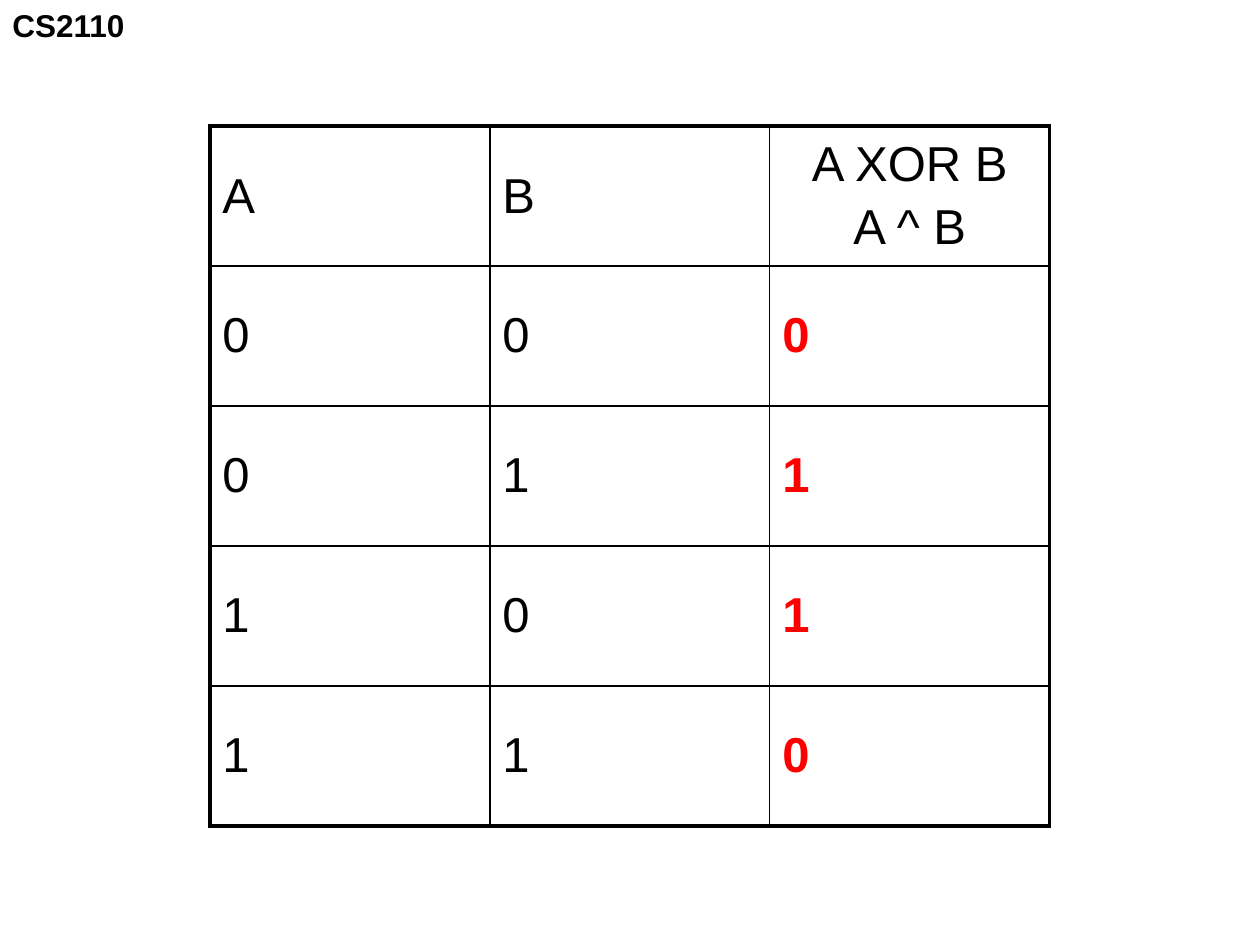
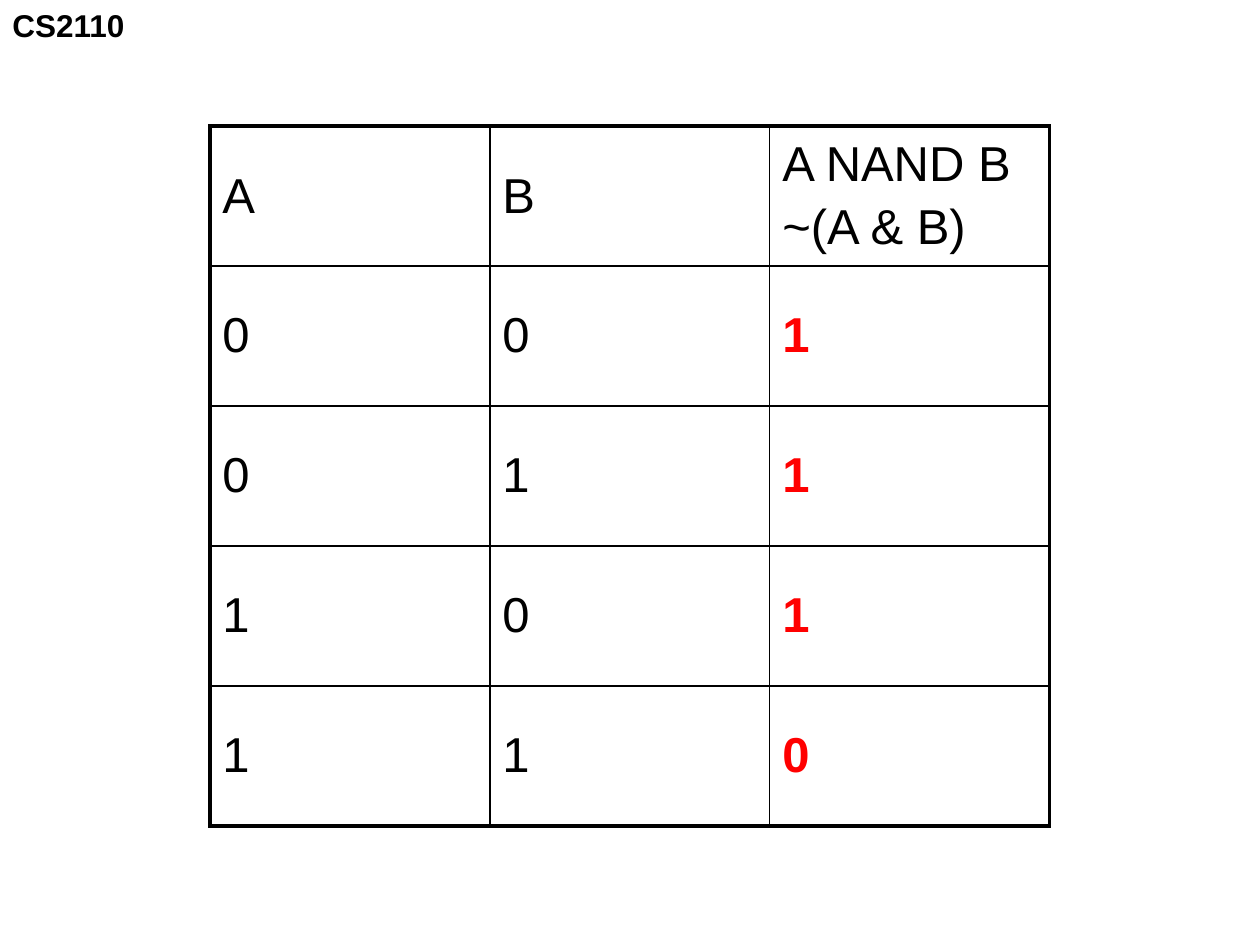
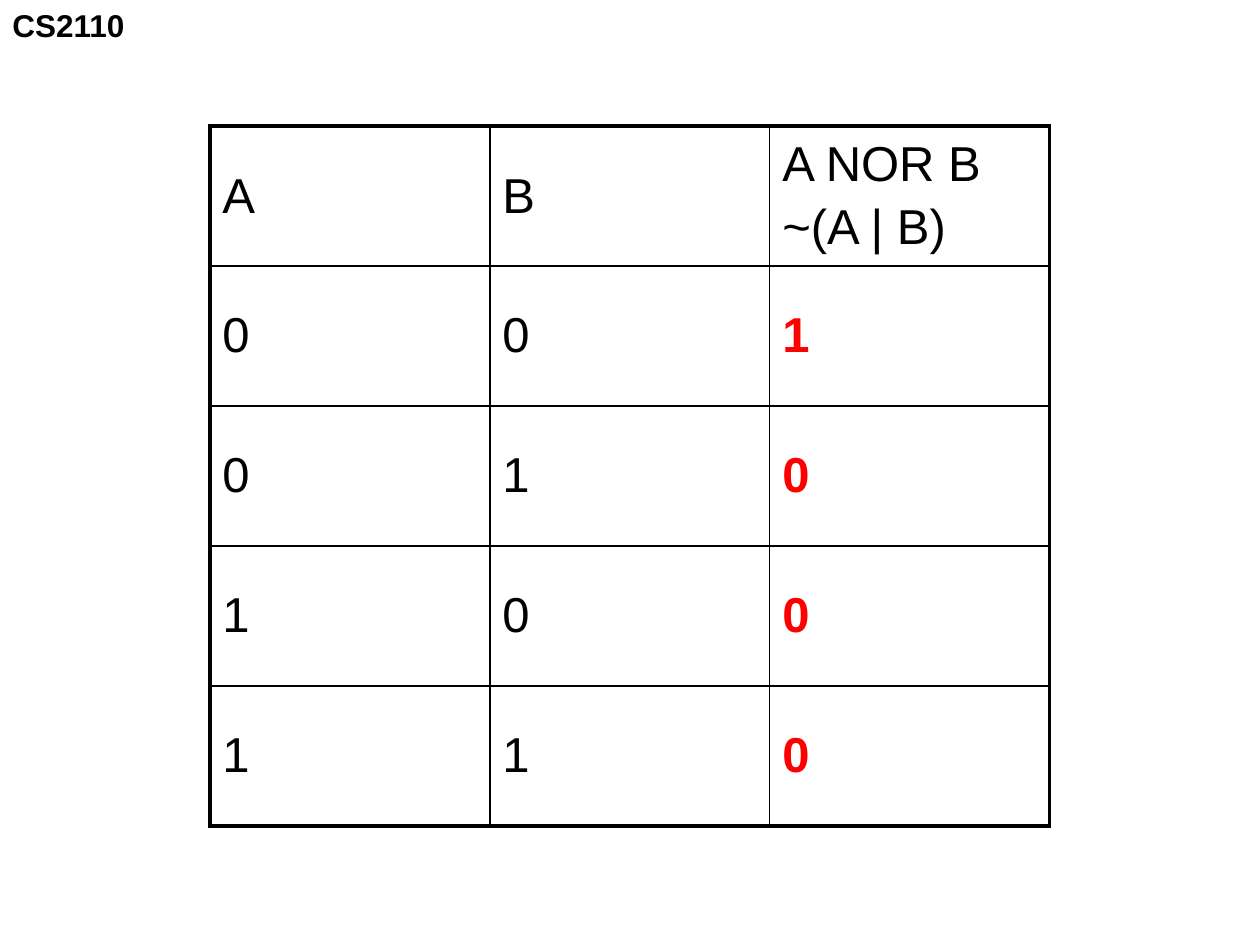
import dataclasses
import itertools

import lxml.etree
import pptx
import pptx.dml.color
import pptx.enum.text
import pptx.oxml.ns
import pptx.util

Cm = pptx.util.Cm
Pt = pptx.util.Pt
RGBColor = pptx.dml.color.RGBColor
ALIGN = pptx.enum.text.PP_ALIGN


@dataclasses.dataclass(frozen=True)
class Theme:
    font: str = "Arial"
    ink: RGBColor = RGBColor(0, 0, 0)
    result: RGBColor = RGBColor(255, 0, 0)
    label_size: Pt = Pt(18)
    cell_size: Pt = Pt(28)
    line_gap: Pt = Pt(5)
    outer_line: Pt = Pt(2.25)
    inner_line: Pt = Pt(1)


@dataclasses.dataclass(frozen=True)
class Box:
    left: Cm
    top: Cm
    width: Cm
    height: Cm


THEME = Theme()
BLANK_LAYOUT = 6
COURSE = "CS2110"
LABEL_BOX = Box(Cm(0), Cm(0), Cm(2.79), Cm(1.02))
TABLE_BOX = Box(Cm(4.23), Cm(2.54), Cm(16.93), Cm(14.11))

# Heading, its alignment, and the operation on the two bits
GATES = [
    ("A XOR B\nA ^ B", ALIGN.CENTER, lambda a, b: a ^ b),
    ("A NAND B\n~(A & B)", ALIGN.LEFT, lambda a, b: 1 - (a & b)),
    ("A NOR B\n~(A | B)", ALIGN.LEFT, lambda a, b: 1 - (a | b)),
]


def style_text(text_frame, size, color, bold, alignment=ALIGN.LEFT):
    for index, paragraph in enumerate(text_frame.paragraphs):
        paragraph.alignment = alignment
        paragraph.space_before = THEME.line_gap if index else Pt(0)
        for run in paragraph.runs:
            run.font.name = THEME.font
            run.font.size = size
            run.font.bold = bold
            run.font.color.rgb = color


def add_course_label(slide, box):
    shape = slide.shapes.add_textbox(box.left, box.top, box.width, box.height)
    text_frame = shape.text_frame
    text_frame.word_wrap = False
    text_frame.auto_size = pptx.enum.text.MSO_AUTO_SIZE.SHAPE_TO_FIT_TEXT
    text_frame.text = COURSE
    style_text(text_frame, THEME.label_size, THEME.ink, True)


def set_borders(cell, outer_edges):
    """Draw all four cell edges, heavier where outer_edges says so."""
    qn = pptx.oxml.ns.qn
    properties = cell._tc.get_or_add_tcPr()
    for edge, is_outer in outer_edges.items():
        width = THEME.outer_line if is_outer else THEME.inner_line
        line = lxml.etree.SubElement(properties, qn(f"a:ln{edge}"), w=str(width))
        fill = lxml.etree.SubElement(line, qn("a:solidFill"))
        lxml.etree.SubElement(fill, qn("a:srgbClr"), val=str(THEME.ink))


def add_truth_table(slide, box, heading, heading_alignment, operation):
    bit_pairs = itertools.product((0, 1), repeat=2)
    rows = [("A", "B", heading)]
    rows += [(str(a), str(b), str(operation(a, b))) for a, b in bit_pairs]
    last_row, last_column = len(rows) - 1, len(rows[0]) - 1

    table = slide.shapes.add_table(
        len(rows), len(rows[0]), box.left, box.top, box.width, box.height
    ).table
    table.first_row = False
    table.horz_banding = False

    for row, values in enumerate(rows):
        for column, value in enumerate(values):
            cell = table.cell(row, column)
            cell.vertical_anchor = pptx.enum.text.MSO_ANCHOR.MIDDLE
            cell.text_frame.text = value
            is_result = row > 0 and column == last_column
            is_heading = row == 0 and column == last_column
            style_text(
                cell.text_frame,
                THEME.cell_size,
                THEME.result if is_result else THEME.ink,
                is_result,
                heading_alignment if is_heading else ALIGN.LEFT,
            )
            set_borders(cell, {
                "L": column == 0,
                "R": column == last_column,
                "T": row == 0,
                "B": row == last_row,
            })
            cell.fill.background()


def add_gate_slide(presentation, gate):
    slide = presentation.slides.add_slide(presentation.slide_layouts[BLANK_LAYOUT])
    add_course_label(slide, LABEL_BOX)
    add_truth_table(slide, TABLE_BOX, *gate)


def main():
    presentation = pptx.Presentation()
    presentation.slide_width = Cm(25.4)
    presentation.slide_height = Cm(19.05)
    for gate in GATES:
        add_gate_slide(presentation, gate)
    presentation.save("out.pptx")


if __name__ == "__main__":
    main()
